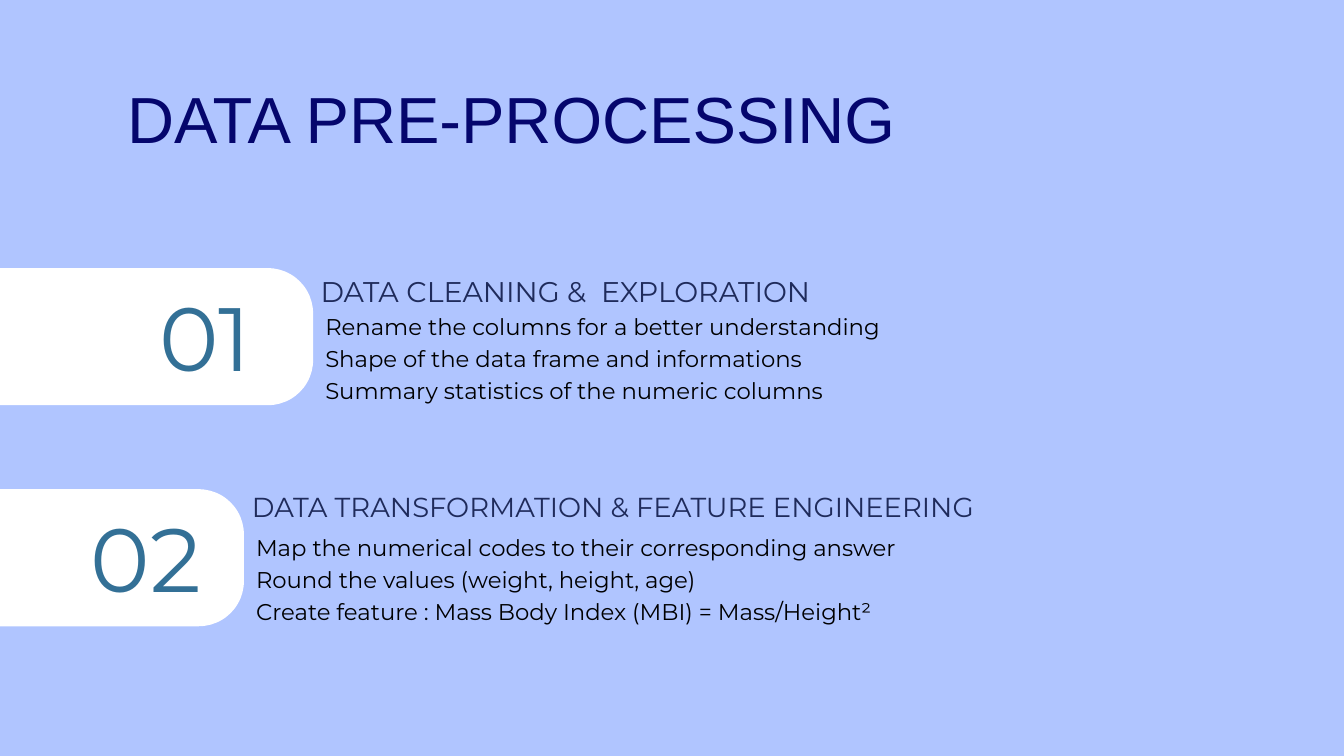
"""Build the data pre-processing slide with two numbered sections."""
from dataclasses import dataclass

from lxml.etree import SubElement
from pptx import Presentation
from pptx.dml.color import RGBColor
from pptx.enum.shapes import MSO_SHAPE
from pptx.enum.text import MSO_ANCHOR, MSO_AUTO_SIZE, PP_ALIGN
from pptx.oxml.ns import qn
from pptx.util import Inches, Pt


@dataclass(frozen=True)
class Theme:
    background: str = "B0C5FF"
    tab: str = "FFFFFF"
    title: str = "05066D"
    heading: str = "1F2B5B"
    number: str = "337096"
    body: str = "000000"
    title_font: str = "Arial"
    text_font: str = "Montserrat"
    title_size: float = 69.8
    number_size: float = 96.2
    body_size: float = 24.4
    line_factor: float = 1.4


theme = Theme()


def place(shape, left, top, width, height):
    shape.left, shape.top = Inches(left), Inches(top)
    shape.width, shape.height = Inches(width), Inches(height)


def write(shape, lines, size, color, font=theme.text_font):
    frame = shape.text_frame
    frame.text = "\n".join(lines)
    frame.word_wrap = True
    frame.auto_size = MSO_AUTO_SIZE.NONE
    frame.vertical_anchor = MSO_ANCHOR.TOP
    frame.margin_left = frame.margin_right = 0
    frame.margin_top = frame.margin_bottom = 0
    for paragraph in frame.paragraphs:
        paragraph.alignment = PP_ALIGN.LEFT
        paragraph.line_spacing = Pt(round(size * theme.line_factor, 1))
        paragraph.space_before = paragraph.space_after = Pt(0)
        properties = paragraph._p.get_or_add_pPr()
        properties.set("marL", "0")
        properties.set("indent", "0")
        SubElement(properties, qn("a:buNone"))
        paragraph.font.name = font
        paragraph.font.size = Pt(size)
        paragraph.font.color.rgb = RGBColor.from_string(color)


sections = [
    {
        "number": "01",
        "number_box": (2.37, 3.92, 1.55, 1.78),
        "tab_box": (-4.04, 3.99, 8.7, 2.04),
        "heading": "DATA CLEANING &  EXPLORATION",
        "heading_box": (4.77, 3.99, 9.2, 0.57),
        "heading_size": 30.5,
        "body": [
            "Rename the columns for a better understanding",
            "Shape of the data frame and informations",
            "Summary statistics of the numeric columns",
        ],
        "body_box": (4.84, 4.58, 9.33, 1.39),
    },
    {
        "number": "02",
        "number_box": (1.35, 7.21, 2.28, 1.78),
        "tab_box": (-5.07, 7.28, 8.7, 2.04),
        "heading": "DATA TRANSFORMATION & FEATURE ENGINEERING",
        "heading_box": (3.75, 7.21, 12.36, 0.55),
        "heading_size": 29.4,
        "body": [
            "Map the numerical codes to their corresponding answer",
            "Round the values (weight, height, age)",
            "Create feature : Mass Body Index (MBI) = Mass/Height²",
        ],
        "body_box": (3.81, 7.88, 10.87, 1.39),
    },
]

presentation = Presentation()
presentation.slide_width = Inches(20)
presentation.slide_height = Inches(11.25)
two_content_layout = presentation.slide_layouts[3]
slide = presentation.slides.add_slide(two_content_layout)
slide.background.fill.solid()
slide.background.fill.fore_color.rgb = RGBColor.from_string(theme.background)

for placeholder in list(slide.placeholders)[3:]:
    placeholder._element.getparent().remove(placeholder._element)

title = slide.shapes.title
place(title, 1.89, 0.97, 11.97, 2.67)
write(title, ["DATA PRE-PROCESSING"], theme.title_size, theme.title, theme.title_font)

for index, section in enumerate(sections, start=1):
    tab = slide.shapes.add_shape(MSO_SHAPE.ROUNDED_RECTANGLE, *map(Inches, section["tab_box"]))
    tab.adjustments[0] = 0.33
    tab.shadow.inherit = False
    tab.fill.solid()
    tab.fill.fore_color.rgb = RGBColor.from_string(theme.tab)
    tab.line.fill.background()

    body = slide.placeholders[index]
    place(body, *section["body_box"])
    write(body, section["body"], theme.body_size, theme.body)

    heading = slide.shapes.add_textbox(*map(Inches, section["heading_box"]))
    write(heading, [section["heading"]], section["heading_size"], theme.heading)

    number = slide.shapes.add_textbox(*map(Inches, section["number_box"]))
    write(number, [section["number"]], theme.number_size, theme.number)

presentation.save("out.pptx")
